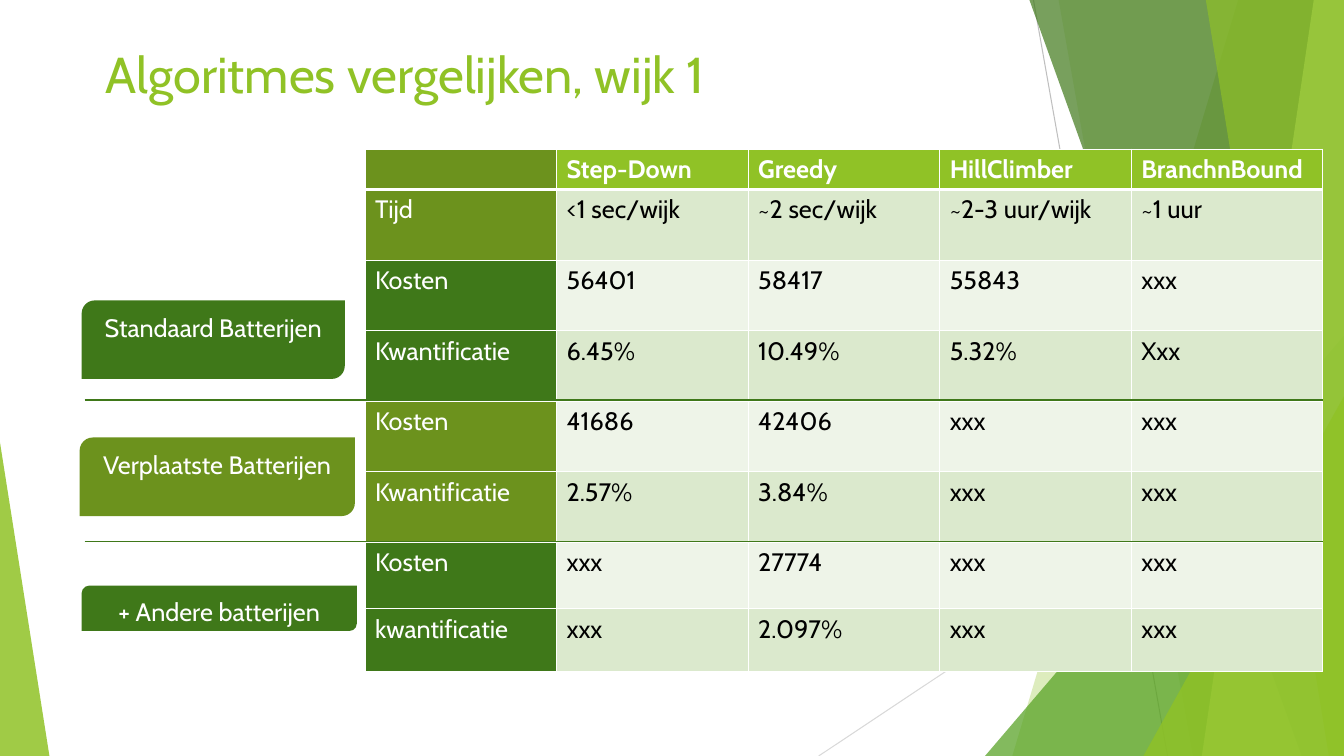
from dataclasses import dataclass
from itertools import product

from lxml import etree
from pptx import Presentation
from pptx import util as u
from pptx.dml.color import RGBColor
from pptx.enum import shapes, text
from pptx.oxml import ns

FONT = "Cabin"
COLORS = {
    "lime": "90C226", "olive": "6C921D", "forest": "3F7819", "green": "54A021",
    "pale": "C0E474", "white": "FFFFFF", "black": "000000",
    "band_dark": "DBE9CD", "band_light": "EEF4E8", "gray": "BFBFBF", "silver": "D9D9D9",
}


@dataclass(frozen=True)
class Rule:
    x1: float
    y1: float
    x2: float
    y2: float
    color: str
    weight: float


@dataclass(frozen=True)
class Facet:
    top_left: float
    bottom_left: float
    color: str
    opacity: int


@dataclass(frozen=True)
class Wedge:
    x: float
    y: float
    w: float
    h: float
    apex: int
    color: str
    opacity: int


@dataclass(frozen=True)
class Label:
    x: float
    y: float
    w: float
    h: float
    color: str
    caption: str


@dataclass(frozen=True)
class Row:
    height: float
    color: str
    values: tuple[str, ...]


SLIDE_W, SLIDE_H = 13.33, 7.5
BACKDROP = [
    Rule(10.25, 0, 11.58, 7.5, "gray", 0.75),
    Rule(13.33, 4.03, 8.12, 7.5, "silver", 0.75),
    Facet(12.28, 10.04, "lime", 30),
    Facet(10.5, 11.83, "lime", 20),
    Wedge(9.77, 3.33, 3.56, 4.17, 1, "green", 72),
    Facet(10.21, 12.91, "forest", 70),
    Facet(13.03, 11.92, "pale", 70),
    Facet(11.96, 13.18, "lime", 65),
    Wedge(11.34, 3.93, 1.99, 3.57, 1, "lime", 80),
    Wedge(0, 4.39, 0.49, 3.11, 0, "lime", 85),
]
LABELS = [
    Label(0.81, 2.98, 2.61, 0.78, "forest", "Standaard Batterijen"),
    Label(0.79, 4.34, 2.73, 0.78, "olive", "Verplaatste Batterijen"),
    Label(0.81, 5.81, 2.73, 0.45, "forest", "+ Andere batterijen"),
]
ROWS = [
    Row(0.4, "olive", ("", "Step-Down", "Greedy", "HillClimber", "BranchnBound")),
    Row(0.7, "olive", ("Tijd", "<1 sec/wijk", "~2 sec/wijk", "~2-3 uur/wijk", "~1 uur")),
    Row(0.7, "forest", ("Kosten", "56401", "58417", "55843", "xxx")),
    Row(0.7, "forest", ("Kwantificatie", "6.45%", "10.49%", "5.32%", "Xxx")),
    Row(0.7, "olive", ("Kosten", "41686", "42406", "xxx", "xxx")),
    Row(0.7, "olive", ("Kwantificatie", "2.57%", "3.84%", "xxx", "xxx")),
    Row(0.66, "forest", ("Kosten", "xxx", "27774", "xxx", "xxx")),
    Row(0.62, "forest", ("kwantificatie", "xxx", "2.097%", "xxx", "xxx")),
]
TABLE_X, TABLE_Y, COL_W = 3.62, 1.48, 1.9
DIVIDERS = [Rule(0.84, y, 13.12, y, "forest", 1) for y in (3.97, 5.37)]


def rgb(name: str) -> RGBColor:
    return RGBColor.from_string(COLORS[name])


def style_font(p, size: float, color: str, bold: bool = False) -> None:
    p.font.name, p.font.size, p.font.bold = FONT, u.Pt(size), bold
    p.font.color.rgb = rgb(color)


def paint(sp, color: str, opacity: int = 100) -> None:
    sp.shadow.inherit = False
    sp.fill.solid()
    sp.fill.fore_color.rgb = rgb(color)
    sp.line.fill.background()
    if opacity < 100:
        clr = sp._element.spPr.find(".//" + ns.qn("a:srgbClr"))
        etree.SubElement(clr, ns.qn("a:alpha"), val=str(opacity * 1000))


def draw_rule(s, rule: Rule) -> None:
    ends = map(u.Inches, (rule.x1, rule.y1, rule.x2, rule.y2))
    cxn = s.shapes.add_connector(shapes.MSO_CONNECTOR.STRAIGHT, *ends)
    cxn.line.color.rgb = rgb(rule.color)
    cxn.line.width = u.Pt(rule.weight)
    etree.SubElement(cxn._element.spPr, ns.qn("a:effectLst"))


def draw_facet(s, facet: Facet) -> None:
    corners = [(SLIDE_W, 0), (SLIDE_W, SLIDE_H), (facet.bottom_left, SLIDE_H)]
    fb = s.shapes.build_freeform(u.Inches(facet.top_left), 0)
    fb.add_line_segments([(u.Inches(x), u.Inches(y)) for x, y in corners])
    paint(fb.convert_to_shape(), facet.color, facet.opacity)


def draw_wedge(s, wedge: Wedge) -> None:
    box = map(u.Inches, (wedge.x, wedge.y, wedge.w, wedge.h))
    sp = s.shapes.add_shape(shapes.MSO_SHAPE.ISOSCELES_TRIANGLE, *box)
    sp.adjustments[0] = wedge.apex
    paint(sp, wedge.color, wedge.opacity)


def draw_title(s, caption: str) -> None:
    tf = s.shapes.add_textbox(*map(u.Inches, (0.95, 0.38, 9.4, 1.44))).text_frame
    tf.word_wrap = True
    tf.text = caption
    style_font(tf.paragraphs[0], 36, "lime")


def draw_label(s, label: Label) -> None:
    box = map(u.Inches, (label.x, label.y, label.w, label.h))
    sp = s.shapes.add_shape(shapes.MSO_SHAPE.ROUND_2_DIAG_RECTANGLE, *box)
    paint(sp, label.color)
    tf = sp.text_frame
    tf.word_wrap = True
    tf.vertical_anchor = text.MSO_ANCHOR.TOP
    tf.margin_top = u.Inches(0.08)
    tf.text = label.caption
    p = tf.paragraphs[0]
    p.alignment = text.PP_ALIGN.CENTER
    style_font(p, 18, "white")


def add_border(cell, side: str, weight: float) -> None:
    tcPr = cell._tc.get_or_add_tcPr()
    ln = etree.SubElement(tcPr, ns.qn(f"a:ln{side}"), w=str(u.Pt(weight)))
    fill = etree.SubElement(ln, ns.qn("a:solidFill"))
    etree.SubElement(fill, ns.qn("a:srgbClr"), val=COLORS["white"])


def draw_table(s, rows: list[Row]) -> None:
    n_cols = len(rows[0].values)
    size = (COL_W * n_cols, sum(row.height for row in rows))
    box = map(u.Inches, (TABLE_X, TABLE_Y, *size))
    tbl = s.shapes.add_table(len(rows), n_cols, *box).table
    for col in tbl.columns:
        col.width = u.Inches(COL_W)
    for i, row in enumerate(rows):
        tbl.rows[i].height = u.Inches(row.height)
    for i, j in product(range(len(rows)), range(n_cols)):
        cell = tbl.cell(i, j)
        for side in "LRTB":
            heavy = (i, side) in ((0, "B"), (1, "T"))
            add_border(cell, side, 3 if heavy else 1)
        body = "band_dark" if i % 2 else "band_light"
        color = rows[i].color if j == 0 else "lime" if i == 0 else body
        cell.fill.solid()
        cell.fill.fore_color.rgb = rgb(color)
        cell.text = rows[i].values[j]
        style_font(cell.text_frame.paragraphs[0], 18,
                   "white" if i == 0 or j == 0 else "black", i == 0)


def main() -> None:
    prs = Presentation()
    prs.slide_width, prs.slide_height = u.Inches(SLIDE_W), u.Inches(SLIDE_H)
    s = prs.slides.add_slide(prs.slide_layouts[6])
    draw = {Rule: draw_rule, Facet: draw_facet, Wedge: draw_wedge, Label: draw_label}
    for item in BACKDROP:
        draw[type(item)](s, item)
    draw_title(s, "Algoritmes vergelijken, wijk 1")
    for label in LABELS:
        draw_label(s, label)
    draw_table(s, ROWS)
    for rule in DIVIDERS:
        draw_rule(s, rule)
    prs.save("out.pptx")


if __name__ == "__main__":
    main()
